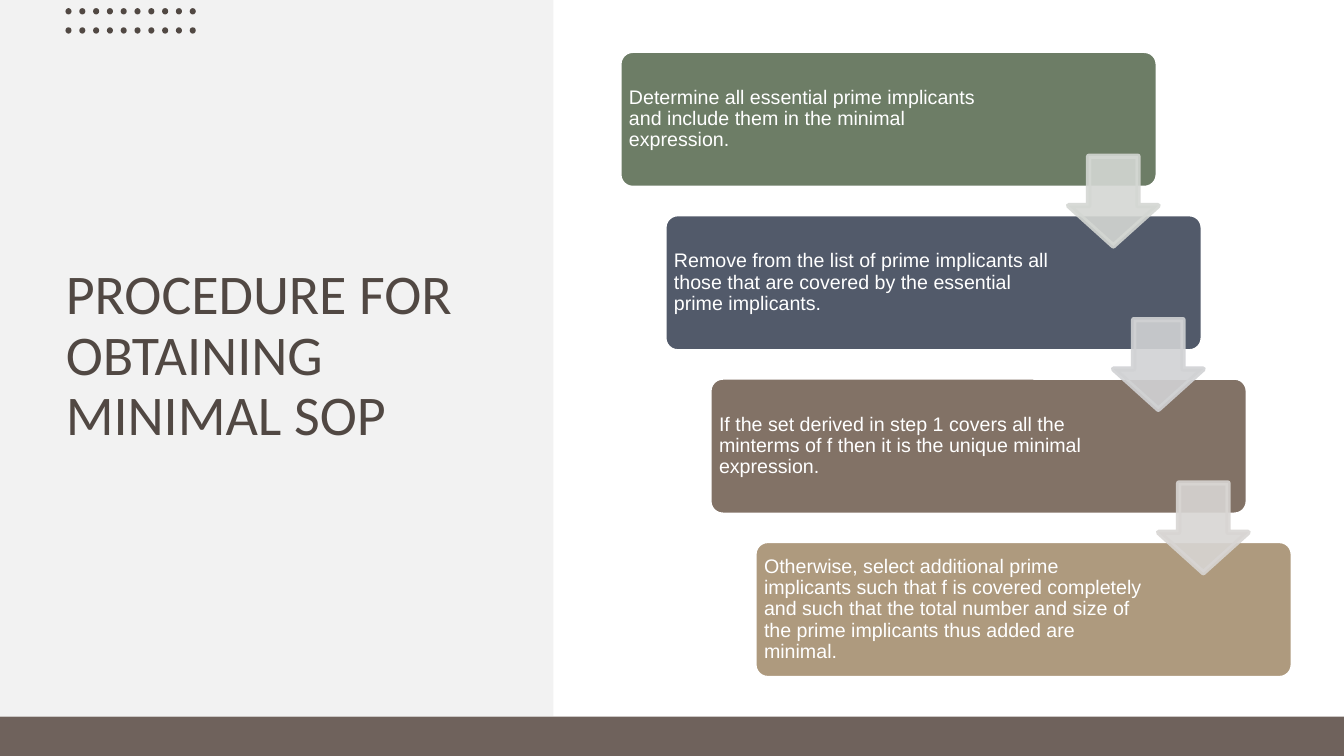
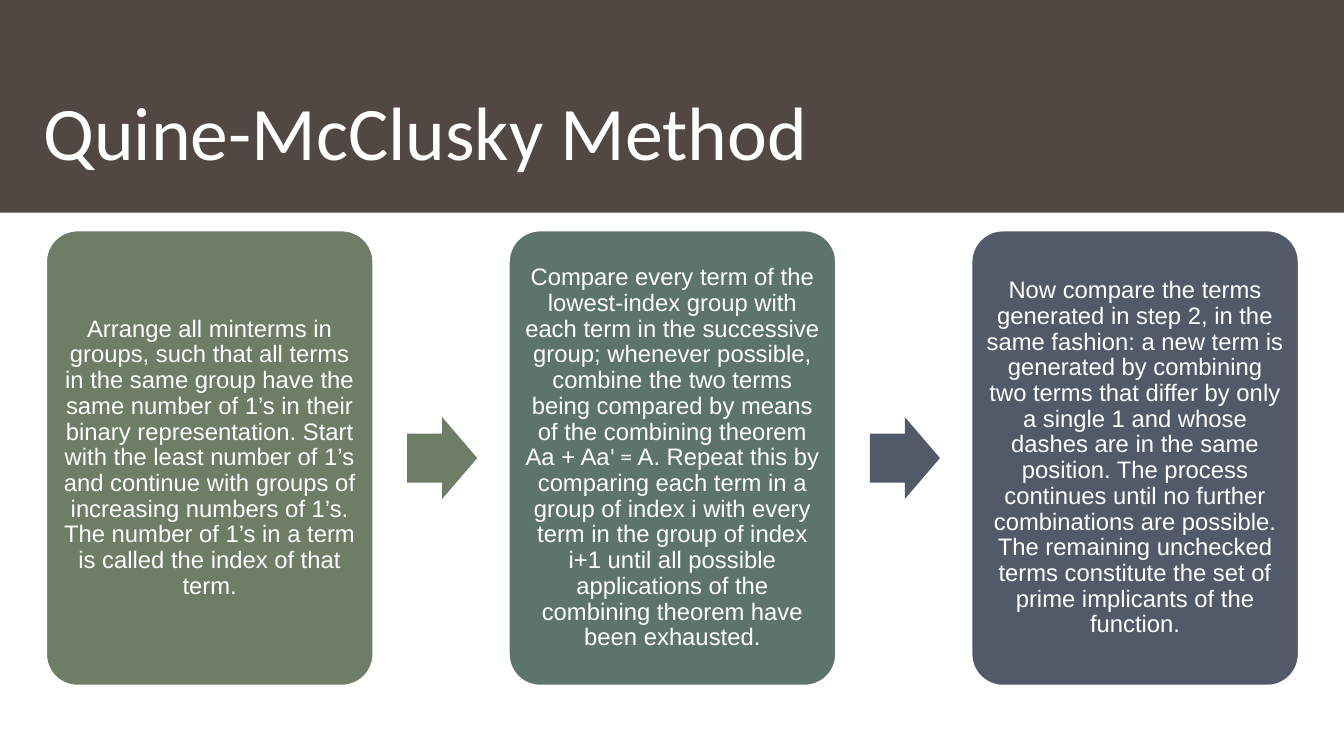
from lxml.etree import SubElement
from pptx import Presentation
from pptx.dml.color import RGBColor
from pptx.enum.shapes import MSO_SHAPE as Shape
from pptx.enum.text import MSO_ANCHOR as Anchor, PP_ALIGN as Align
from pptx.oxml.ns import qn
from pptx.util import Pt

SLIDE_WIDTH, SLIDE_HEIGHT = 960, 540
WHITE, PANEL, DARK, FOOTER = "FFFFFF", "F2F2F2", "514843", "6F625C"
GREEN, TEAL, SLATE, BROWN, TAN = "6D7D66", "5C746C", "525A6A", "827266", "AE9A7E"
TITLE_FONT, BODY_FONT = "Calibri", "Arial"
OUTLINE = 3.78

STEPS = [
    ("Determine all essential prime implicants and include them in the minimal expression.",
     GREEN, "D4D7D3", 117),
    ("Remove from the list of prime implicants all those that are covered by the essential "
     "prime implicants.", SLATE, "D1D2D4", 101),
    ("If the set derived in step 1 covers all the minterms of f then it is the unique minimal "
     "expression.", BROWN, "D8D5D3", 101),
    ("Otherwise, select additional prime implicants such that f is covered completely and such "
     "that the total number and size of the prime implicants thus added are minimal.",
     TAN, None, 101),
]

CARDS = [
    ([("Arrange all minterms in groups, such that all terms in the same group have the same "
       "number of 1’s in their binary representation. Start with the least number of 1’s and "
       "continue with groups of increasing numbers of 1’s. The number of 1’s in a term is called "
       "the index of that term.", BODY_FONT)], GREEN),
    ([("Compare every term of the lowest-index group with each term in the successive group; "
       "whenever possible, combine the two terms being compared by means of the combining "
       "theorem Aa + Aa", BODY_FONT),
      ("' =", TITLE_FONT),
      (" A. Repeat this by comparing each term in a group of index i with every term in the "
       "group of index i+1 until all possible applications of the combining theorem have been "
       "exhausted.", BODY_FONT)], TEAL),
    ([("Now compare the terms generated in step 2, in the same fashion: a new term is generated "
       "by combining two terms that differ by only a single 1 and whose dashes are in the same "
       "position. The process continues until no further combinations are possible. The "
       "remaining unchecked terms constitute the set of prime implicants of the function.",
       BODY_FONT)], SLATE),
]
CARD_ARROW_COLORS = [GREEN, SLATE]


def color(value):
    return RGBColor.from_string(value)


def add_shape(slide, kind, left, top, width, height, fill, line=None, adjustments=()):
    shape = slide.shapes.add_shape(kind, Pt(left), Pt(top), Pt(width), Pt(height))
    shape.shadow.inherit = False
    shape.fill.solid()
    shape.fill.fore_color.rgb = color(fill)
    if line:
        shape.line.color.rgb = color(line)
        shape.line.width = Pt(OUTLINE)
    else:
        shape.line.fill.background()
    for index, value in enumerate(adjustments):
        shape.adjustments[index] = value
    return shape


def set_opacity(shape, percent):
    for element in list(shape.element.iter(qn("a:srgbClr"))):
        SubElement(element, qn("a:alpha")).set("val", str(percent * 1000))


def write_text(shape, runs, size, text_color, align, anchor, insets):
    frame = shape.text_frame
    frame.word_wrap = True
    frame.vertical_anchor = anchor
    frame.margin_left, frame.margin_top, frame.margin_right, frame.margin_bottom = map(Pt, insets)
    paragraph = frame.paragraphs[0]
    paragraph.alignment = align
    paragraph.line_spacing = 0.9
    for text, font_name in runs:
        run = paragraph.add_run()
        run.text = text
        run.font.name = font_name
        run.font.size = Pt(size)
        run.font.color.rgb = color(text_color)


def add_title(slide, text, left, top, width, height, size, text_color, anchor):
    box = slide.shapes.add_textbox(Pt(left), Pt(top), Pt(width), Pt(height))
    write_text(box, [(text, TITLE_FONT)], size, text_color, Align.LEFT, anchor, (0, 3.6, 0, 3.6))


def add_dots(slide, left, top, columns, rows):
    for row in range(rows):
        for column in range(columns):
            add_shape(slide, Shape.OVAL, left + column * 9.86, top + row * 13.7, 4.3, 4.5, DARK)


def add_staircase(slide):
    left, top, width, height, arrow_size = 442.1, 36, 385.2, 98.6, 64.1
    step_right, step_down, arrow_drop = 32.15, 116.7, 75.6
    for index, (text, fill, _, right_inset) in enumerate(STEPS):
        box = add_shape(slide, Shape.ROUNDED_RECTANGLE, left + index * step_right,
                        top + index * step_down, width, height, fill, WHITE, [0.1])
        write_text(box, [(text, BODY_FONT)], 14, WHITE, Align.LEFT, Anchor.MIDDLE,
                   (4.3, 4.3, right_inset, 4.3))
    for index, (_, _, tint, _) in enumerate(STEPS[:-1]):
        arrow = add_shape(slide, Shape.DOWN_ARROW,
                          left + width - arrow_size + index * step_right,
                          top + arrow_drop + index * step_down,
                          arrow_size, arrow_size, tint, tint, [0.55, 0.45])
        set_opacity(arrow, 90)


def add_card_row(slide):
    left, top, width, height, pitch = 31.7, 163.4, 236.2, 327.6, 330.5
    arrow_width, arrow_height, arrow_gap = 50, 58.4, 23
    for index, (runs, fill) in enumerate(CARDS):
        card = add_shape(slide, Shape.ROUNDED_RECTANGLE, left + index * pitch, top,
                         width, height, fill, WHITE, [0.1])
        write_text(card, runs, 17, WHITE, Align.CENTER, Anchor.MIDDLE, (5, 5, 5, 5))
    for index, fill in enumerate(CARD_ARROW_COLORS):
        add_shape(slide, Shape.RIGHT_ARROW, left + width + arrow_gap + index * pitch,
                  top + (height - arrow_height) / 2, arrow_width, arrow_height, fill,
                  adjustments=[0.6, 0.5])


def build_procedure(slide):
    add_shape(slide, Shape.RECTANGLE, 0, 0, 395.3, 511.5, PANEL)
    add_title(slide, "PROCEDURE FOR OBTAINING MINIMAL SOP", 47, 95, 305, 320.4, 40, DARK,
              Anchor.MIDDLE)
    add_dots(slide, 46.8, 5.8, 10, 2)
    add_shape(slide, Shape.RECTANGLE, 0, 511.8, SLIDE_WIDTH, 28.2, FOOTER)
    add_staircase(slide)


def build_method(slide):
    add_shape(slide, Shape.RECTANGLE, 0, 0, SLIDE_WIDTH, 152, DARK)
    add_title(slide, "Quine-McClusky Method", 31, 25.2, 898.6, 104.4, 54, WHITE, Anchor.BOTTOM)
    add_card_row(slide)


def main():
    presentation = Presentation()
    presentation.slide_width, presentation.slide_height = Pt(SLIDE_WIDTH), Pt(SLIDE_HEIGHT)
    for build in (build_procedure, build_method):
        build(presentation.slides.add_slide(presentation.slide_layouts[6]))
    presentation.save("out.pptx")


if __name__ == "__main__":
    main()
